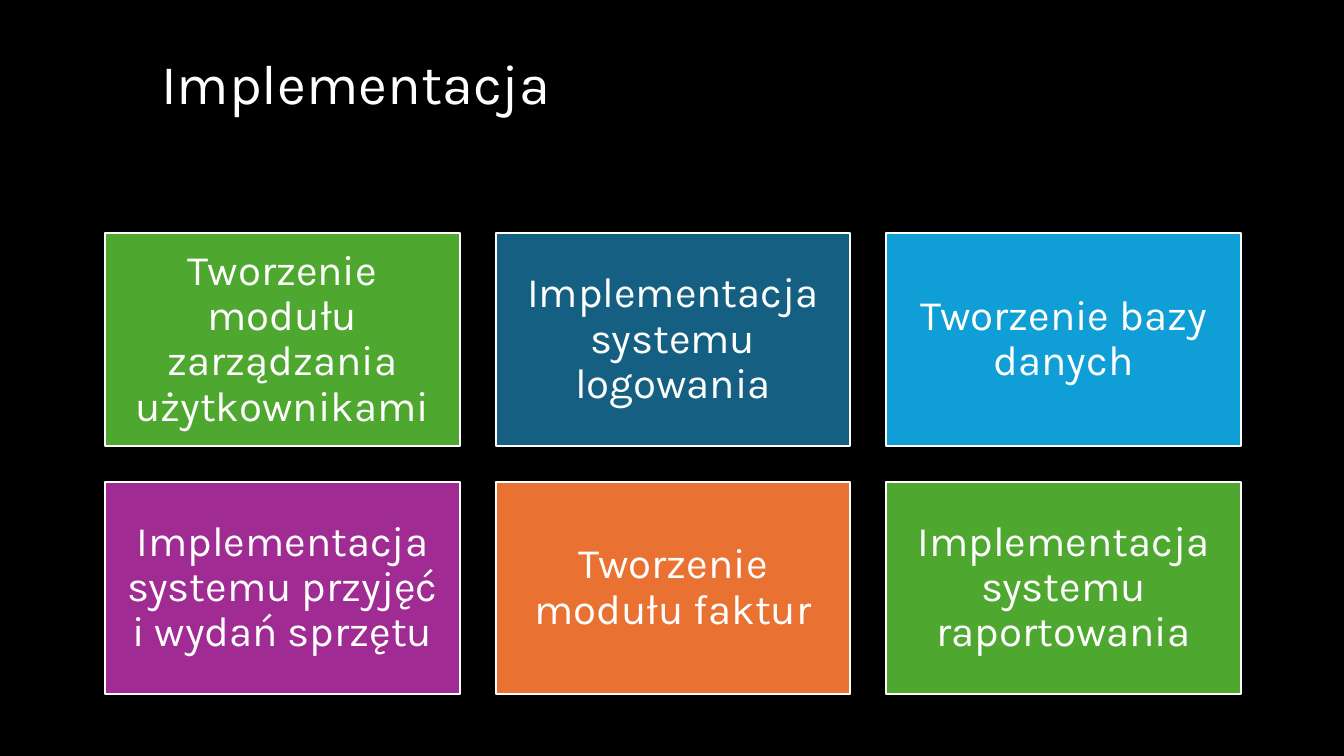
from pptx import Presentation
from pptx.dml.color import RGBColor
from pptx.enum.shapes import MSO_SHAPE as Shape
from pptx.enum.text import MSO_ANCHOR as Anchor, PP_ALIGN as Align
from pptx.util import Pt

FONT = "Karla"
COLORS = {
    "black": "000000",
    "white": "FFFFFF",
    "green": "4EA72E",
    "navy": "156082",
    "blue": "0F9ED5",
    "purple": "A02B93",
    "orange": "E97132",
}
TASKS = [
    ("Tworzenie modułu zarządzania użytkownikami", "green"),
    ("Implementacja systemu logowania", "navy"),
    ("Tworzenie bazy danych", "blue"),
    ("Implementacja systemu przyjęć i wydań sprzętu", "purple"),
    ("Tworzenie modułu faktur", "orange"),
    ("Implementacja systemu raportowania", "green"),
]
COLUMNS = 3
GRID_LEFT, GRID_TOP = 75, 166.5
TILE_WIDTH, TILE_HEIGHT = 253.5, 152
GAP = 25.5


def color(name):
    return RGBColor.from_string(COLORS[name])


def write(box, text, size, align, inset_x, inset_y):
    frame = box.text_frame
    frame.text = text
    frame.word_wrap = True
    frame.vertical_anchor = Anchor.MIDDLE
    frame.margin_left = frame.margin_right = Pt(inset_x)
    frame.margin_top = frame.margin_bottom = Pt(inset_y)
    para = frame.paragraphs[0]
    para.alignment = align
    para.line_spacing = 0.9
    para.font.name = FONT
    para.font.size = Pt(size)
    para.font.color.rgb = color("white")


def add_title(page, text):
    title = page.shapes.title
    title.left, title.top = Pt(108), Pt(27.5)
    title.width, title.height = Pt(790.5), Pt(69)
    write(title, text, 40, Align.LEFT, 7.2, 3.6)


def add_tile(page, index, text, fill):
    row, column = divmod(index, COLUMNS)
    left = GRID_LEFT + column * (TILE_WIDTH + GAP)
    top = GRID_TOP + row * (TILE_HEIGHT + GAP)
    tile = page.shapes.add_shape(
        Shape.RECTANGLE, Pt(left), Pt(top), Pt(TILE_WIDTH), Pt(TILE_HEIGHT)
    )
    tile.shadow.inherit = False
    tile.fill.solid()
    tile.fill.fore_color.rgb = color(fill)
    tile.line.color.rgb = color("white")
    tile.line.width = Pt(1.5)
    write(tile, text, 30, Align.CENTER, 9, 9)


def main():
    deck = Presentation()
    deck.slide_width, deck.slide_height = Pt(960), Pt(540)
    page = deck.slides.add_slide(deck.slide_layouts.get_by_name("Title Only"))
    page.background.fill.solid()
    page.background.fill.fore_color.rgb = color("black")
    add_title(page, "Implementacja")
    for index, (text, fill) in enumerate(TASKS):
        add_tile(page, index, text, fill)
    deck.save("out.pptx")


if __name__ == "__main__":
    main()
